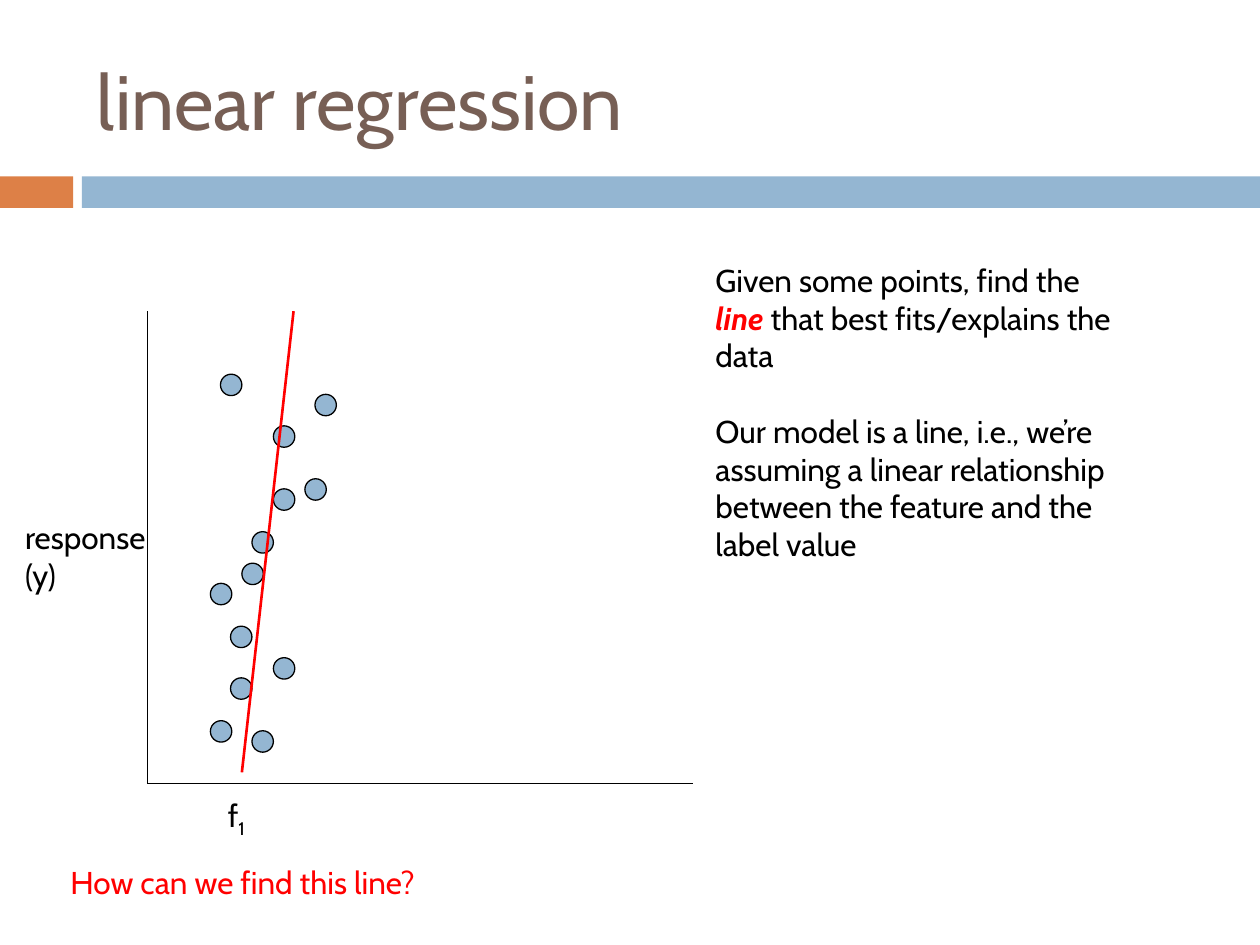
import pptx
import pptx.dml.color
import pptx.enum.shapes
import pptx.enum.text
import pptx.oxml.ns
import pptx.util
from lxml import etree
from pptx.util import Inches, Pt

RGBColor = pptx.dml.color.RGBColor
BLACK = RGBColor(0x00, 0x00, 0x00)
RED = RGBColor(0xFF, 0x00, 0x00)
BLUE = RGBColor(0x94, 0xB6, 0xD2)
ORANGE = RGBColor(0xDD, 0x80, 0x47)
BROWN = RGBColor(0x77, 0x5F, 0x55)
FONT = "Cabin"
RECTANGLE = pptx.enum.shapes.MSO_SHAPE.RECTANGLE
OVAL = pptx.enum.shapes.MSO_SHAPE.OVAL

# Content: each paragraph is a list of (text, style) runs; BREAK starts a new line
BREAK = "\n"
TITLE = [[("linear regression", "")]]
EXPLANATION = [
    [("Given some points, find the ", ""), ("line", "emphasis"),
     (" that best fits/explains the data", "")],
    [("Our model is a line, i.e., we’re assuming a linear relationship "
      "between the feature and the label value", "")],
]
QUESTION = [[("How can we find this line?", "")]]
X_LABEL = [[("f", ""), ("1", "subscript")]]
Y_LABEL = [[("response ", ""), (BREAK, ""), ("(y)", "")]]

# Plot geometry in inches
BARS = [(0, 0.58, ORANGE), (0.65, 9.35, BLUE)]
ORIGIN = (1.17, 6.22)
LINES = [
    ((1.17, 2.47), ORIGIN, BLACK, 0.75),
    (ORIGIN, (5.5, 6.22), BLACK, 0.75),
]
FITTED_LINE = ((2.33, 2.47), (1.92, 6.13), RED, 1.5)
DOT_SIZE = 0.17
DOTS = [
    (1.75, 2.97), (2.17, 3.38), (2.5, 3.13), (2.42, 3.8), (2.17, 3.88),
    (2, 4.22), (1.92, 4.47), (1.67, 4.63), (1.83, 4.97), (2.17, 5.22),
    (1.83, 5.38), (1.67, 5.72), (2, 5.8),
]


def add_filled(slide, kind, box, color, outlined=False):
    shape = slide.shapes.add_shape(kind, *map(Inches, box))
    shape.shadow.inherit = False
    shape.fill.solid()
    shape.fill.fore_color.rgb = color
    if outlined:
        shape.line.color.rgb = BLACK
        shape.line.width = Pt(0.75)
    else:
        shape.line.fill.background()


def add_line(slide, start, end, color, width):
    line = slide.shapes.add_connector(
        pptx.enum.shapes.MSO_CONNECTOR.STRAIGHT, *map(Inches, start + end))
    line.line.color.rgb = color
    line.line.width = Pt(width)
    etree.SubElement(line._element.spPr, pptx.oxml.ns.qn("a:effectLst"))


def add_text(slide, box, paragraphs, size=18, color=BLACK, middle=False):
    text_frame = slide.shapes.add_textbox(*map(Inches, box)).text_frame
    text_frame.word_wrap = True
    if middle:
        text_frame.vertical_anchor = pptx.enum.text.MSO_ANCHOR.MIDDLE
    for index, runs in enumerate(paragraphs):
        if index:
            paragraph = text_frame.add_paragraph()
            paragraph.space_before = Pt(21.5)
        else:
            paragraph = text_frame.paragraphs[0]
        paragraph.font.name = FONT
        paragraph.font.size = Pt(size)
        paragraph.font.color.rgb = color
        for text, style in runs:
            if text == BREAK:
                paragraph.add_line_break()
                continue
            run = paragraph.add_run()
            run.text = text
            if style == "emphasis":
                run.font.bold = run.font.italic = True
                run.font.color.rgb = RED
            elif style == "subscript":
                run.font._element.set("baseline", "-25000")


def main():
    presentation = pptx.Presentation()
    presentation.slide_width = Inches(10)
    presentation.slide_height = Inches(7.5)
    slide = presentation.slides.add_slide(presentation.slide_layouts[6])

    # Title and the band below it
    for left, width, color in BARS:
        add_filled(slide, RECTANGLE, (left, 1.4, width, 0.25), color)
    add_text(slide, (0.67, 0.25, 8.92, 1.08), TITLE, 44, BROWN, middle=True)

    # Axes, data points and fitted line
    for line in LINES:
        add_line(slide, *line)
    for left, top in DOTS:
        add_filled(slide, OVAL, (left, top, DOT_SIZE, DOT_SIZE), BLUE, outlined=True)
    add_text(slide, (5.58, 2.02, 3.5, 2.22), EXPLANATION)
    add_line(slide, *FITTED_LINE)

    # Question and axis labels
    add_text(slide, (0.46, 6.8, 4.42, 0.5), QUESTION, color=RED)
    add_text(slide, (1.71, 6.27, 2.31, 0.4), X_LABEL)
    add_text(slide, (0.1, 4.06, 2.31, 0.71), Y_LABEL)

    presentation.save("out.pptx")


if __name__ == "__main__":
    main()
